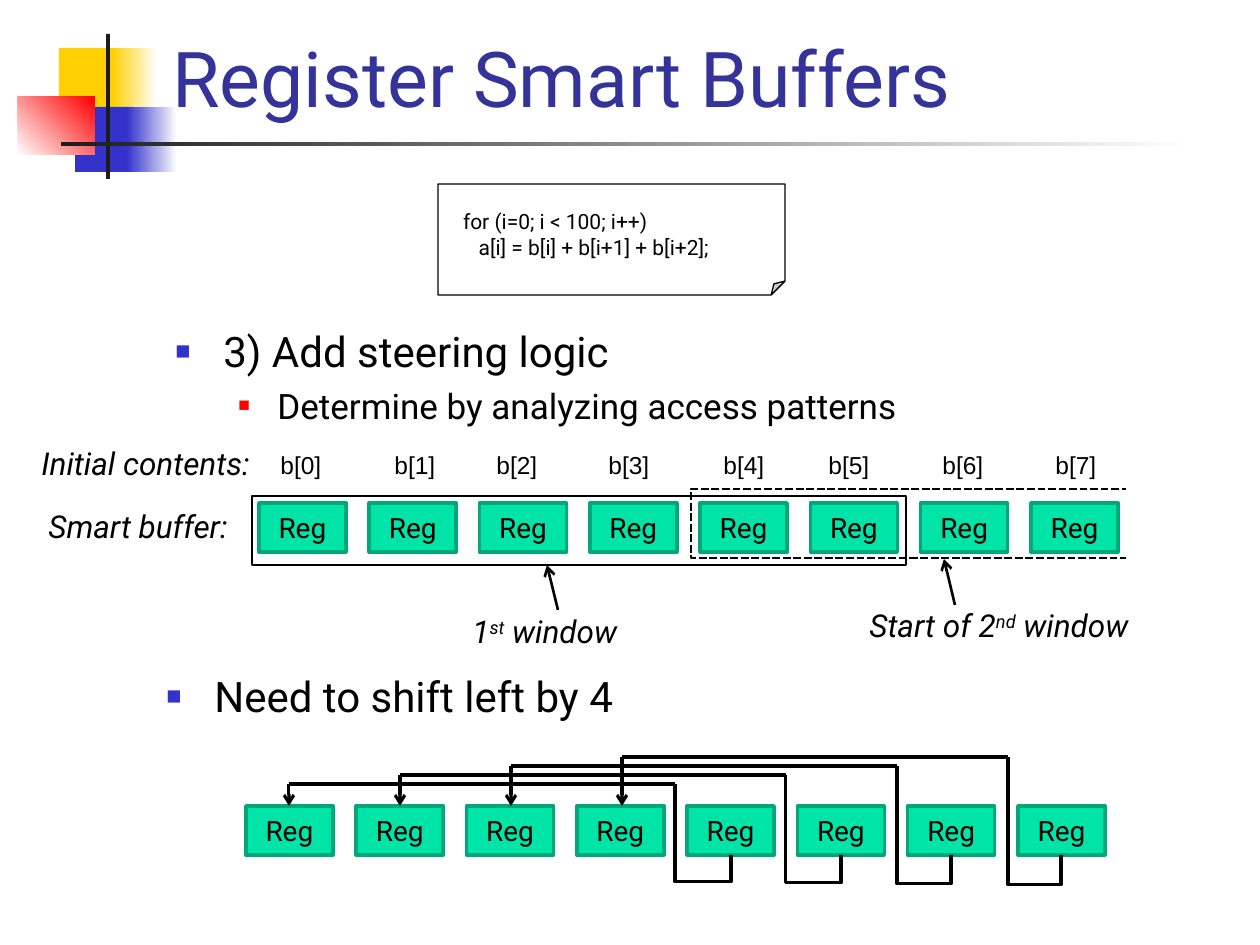
from lxml.etree import SubElement
from pptx import Presentation
from pptx.dml.color import RGBColor
from pptx.enum.dml import MSO_LINE
from pptx.enum.shapes import MSO_CONNECTOR, MSO_SHAPE
from pptx.enum.text import MSO_ANCHOR, PP_ALIGN
from pptx.oxml.ns import qn
from pptx.util import Emu, Pt

BLACK = RGBColor(0x00, 0x00, 0x00)
WHITE = RGBColor(0xFF, 0xFF, 0xFF)
INK = RGBColor(0x1C, 0x1C, 0x1C)
YELLOW = RGBColor(0xFF, 0xCF, 0x01)
BLUE = RGBColor(0x33, 0x33, 0xCC)
NAVY = RGBColor(0x33, 0x33, 0x99)
RED = RGBColor(0xFF, 0x00, 0x00)
GREEN = RGBColor(0x00, 0xE4, 0xA8)
DARK_GREEN = RGBColor(0x00, 0xA7, 0x7A)

REG_W, REG_H, REG_SPAN, REG_COUNT = 87, 49, 772, 8
SHIFT = 4
LABEL_X = [0, 114, 216, 328, 443, 548, 662, 775]


def px(n):
    """Turn pixels into EMU at 126 pixels to the inch."""
    return Emu(round(n * 914400 / 126))


def box(s, x, y, w, h, fill=None, line=None, width=1, shape=MSO_SHAPE.RECTANGLE):
    """Add a preset shape with an optional fill and outline."""
    sp = s.shapes.add_shape(shape, px(x), px(y), px(w), px(h))
    sp.shadow.inherit = False
    for part, color in ((sp.fill, fill), (sp.line.fill, line)):
        if color is None:
            part.background()
        else:
            part.solid()
            part.fore_color.rgb = color
    if line is not None:
        sp.line.width = Pt(width)
    return sp


def adjust(sp, name, ratio):
    """Set one shape guide as a share of the shape's size."""
    guides = sp._element.spPr.find(qn("a:prstGeom")).get_or_add_avLst()
    SubElement(guides, qn("a:gd"), name=name, fmla=f"val {round(ratio * 100000)}")


def fade(s, x, y, w, h, start, end, angle=0):
    """Add a rectangle with a two-colour gradient."""
    sp = box(s, x, y, w, h)
    sp.fill.gradient()
    sp.fill.gradient_angle = angle
    for stop, color, position in zip(sp.fill.gradient_stops, (start, end), (0, 1)):
        stop.color.rgb = color
        stop.position = position


def write(p, text, size, color=BLACK, font="Roboto", italic=False, raised=False):
    """Append one formatted run to a paragraph."""
    r = p.add_run()
    r.text = text
    for name, value in {"size": Pt(size), "name": font, "italic": italic}.items():
        setattr(r.font, name, value)
    r.font.color.rgb = color
    if raised:
        r._r.get_or_add_rPr().set("baseline", "30000")


def text_box(s, x, y, w, h, anchor=MSO_ANCHOR.TOP):
    """Add a wrapping text box and return its text frame."""
    tf = s.shapes.add_textbox(px(x), px(y), px(w), px(h)).text_frame
    for name, value in {"word_wrap": True, "vertical_anchor": anchor}.items():
        setattr(tf, name, value)
    return tf


def caption(s, x, y, w, *parts):
    """Add an italic caption in which every second part is raised."""
    p = text_box(s, x, y, w, 50).paragraphs[0]
    for i, part in enumerate(parts):
        write(p, part, 18, italic=True, raised=i % 2 == 1)


def bullet(p, text, size, color, percent, left, hang):
    """Fill a paragraph with a square-bulleted line."""
    pPr = p._p.get_or_add_pPr()
    pPr.set("marL", str(px(left)))
    pPr.set("indent", str(px(-hang)))
    clr = SubElement(pPr, qn("a:buClr"))
    SubElement(clr, qn("a:srgbClr"), val=str(color))
    SubElement(pPr, qn("a:buSzPct"), val=str(percent * 1000))
    SubElement(pPr, qn("a:buFont"), typeface="Arial")
    SubElement(pPr, qn("a:buChar"), char="■")
    write(p, text, size)


def connect(s, x1, y1, x2, y2, width, arrow=False, kind=MSO_CONNECTOR.STRAIGHT):
    """Add a black connector, with an arrowhead at its end if asked."""
    c = s.shapes.add_connector(kind, px(x1), px(y1), px(x2), px(y2))
    c.line.color.rgb = BLACK
    c.line.width = Pt(width)
    if arrow:
        SubElement(c.line._get_or_add_ln(), qn("a:tailEnd"), type="arrow")
    SubElement(c._element.spPr, qn("a:effectLst"))
    return c


def loop(s, x1, y1, x2, y2, bottom):
    """Route an elbow from a lower right point, down to bottom, then up."""
    length, across = y1 - y2, x1 - x2
    cx, cy = (x1 + x2) / 2, (y1 + y2) / 2
    c = connect(s, cx - length / 2, cy + across / 2, cx + length / 2,
                cy - across / 2, 1.75, kind=MSO_CONNECTOR.ELBOW)
    c._element.spPr.find(qn("a:xfrm")).set("rot", "16200000")
    adjust(c, "adj1", (y1 - bottom) / length)


def header(s, x, y):
    """Draw the corner ornament, the rule and the title."""
    box(s, x + 41, y + 14, 60, 65, YELLOW)
    fade(s, x + 94, y + 14, 45, 65, YELLOW, WHITE)
    box(s, x + 57, y + 73, 58, 65, BLUE)
    fade(s, x + 109, y + 73, 50, 65, BLUE, WHITE)
    fade(s, x, y + 63, 77, 58, WHITE, RED, 45)
    box(s, x + 88, y, 4, 145, INK)
    fade(s, x + 43, y + 108, 1134, 4, INK, WHITE)
    tf = text_box(s, x + 142, y - 34, 1074, 129, MSO_ANCHOR.BOTTOM)
    write(tf.paragraphs[0], "Register Smart Buffers", 44, NAVY)


def code_note(s, x, y, w, h):
    """Draw the folded note that holds the loop."""
    sp = box(s, x, y, w, h, WHITE, BLACK, 0.75, MSO_SHAPE.FOLDED_CORNER)
    adjust(sp, "adj", 0.125)
    tf = sp.text_frame
    fmt = {"margin_left": px(25), "margin_top": px(25), "margin_right": 0,
           "margin_bottom": 0, "vertical_anchor": MSO_ANCHOR.TOP, "word_wrap": True}
    for name, value in fmt.items():
        setattr(tf, name, value)
    lines = ["for (i=0; i < 100; i++)", "   a[i] = b[i] + b[i+1] + b[i+2];"]
    for i, line in enumerate(lines):
        p = tf.add_paragraph() if i else tf.paragraphs[0]
        p.alignment = PP_ALIGN.LEFT
        write(p, line, 12)


def steering_points(s, x, y, w, h):
    """Write the steering bullet and its sub-point."""
    tf = text_box(s, x, y, w, h)
    bullet(tf.paragraphs[0], "3) Add steering logic", 24, BLUE, 60, 48, 48)
    p = tf.add_paragraph()
    bullet(p, "Determine by analyzing access patterns", 20, RED, 55, 102, 39)
    p.space_before = Pt(5)


def register_row(s, x, y):
    """Draw the evenly spaced registers."""
    for i in range(REG_COUNT):
        left = x + REG_SPAN * i / (REG_COUNT - 1)
        sp = box(s, left, y, REG_W, REG_H, GREEN, DARK_GREEN, 2)
        sp.text_frame.vertical_anchor = MSO_ANCHOR.MIDDLE
        p = sp.text_frame.paragraphs[0]
        p.alignment = PP_ALIGN.CENTER
        write(p, "Reg", 16)


def smart_buffer(s, x, y):
    """Draw the buffer with its contents and both windows."""
    register_row(s, x, y)
    for i, offset in enumerate(LABEL_X):
        p = text_box(s, x + 9 + offset, y - 59, 107, 43).paragraphs[0]
        write(p, f"b[{i}]", 14, font="Arial")
    caption(s, x - 223, y - 2, 220, "Smart buffer:")
    caption(s, x - 230, y - 65, 271, "Initial contents:")
    box(s, x - 7, y - 7, 654, 69, line=BLACK, width=1.5)
    caption(s, x + 201, y + 103, 271, "1", "st", " window")
    connect(s, x + 299, y + 107, x + 288, y + 62, 1.5, arrow=True)
    second = box(s, x + 432, y - 14, 452, 69, line=BLACK, width=1.5)
    second.line.dash_style = MSO_LINE.SQUARE_DOT
    box(s, x + 867, y - 33, 93, 105, WHITE)
    caption(s, x + 598, y + 97, 345, "Start of 2", "nd", " window")
    connect(s, x + 696, y + 102, x + 685, y + 56, 1.5, arrow=True)


def shift_diagram(s, x, y):
    """Draw the registers and the routes that shift them left."""
    register_row(s, x, y)
    for i in range(SHIFT):
        target, turn, bus = x + 43 + 111 * i, x + 429 + 111 * i, y - 22 - 9 * i
        loop(s, x + 485 + 110 * i, y + REG_H, turn, bus, y + 76 + i)
        connect(s, turn, bus, target, bus, 1.75)
        connect(s, target, bus, target, y, 1.75, arrow=True)


def main():
    """Build and save the slide."""
    prs = Presentation()
    prs.slide_width, prs.slide_height = px(1260), px(945)
    s = prs.slides.add_slide(prs.slide_layouts[6])
    header(s, 18, 34)
    steering_points(s, 163, 319, 1071, 141)
    code_note(s, 438, 184, 347, 111)
    smart_buffer(s, 259, 503)
    tf = text_box(s, 154, 664, 1071, 72)
    bullet(tf.paragraphs[0], "Need to shift left by 4", 24, BLUE, 60, 48, 48)
    shift_diagram(s, 246, 806)
    prs.save("out.pptx")


if __name__ == "__main__":
    main()
